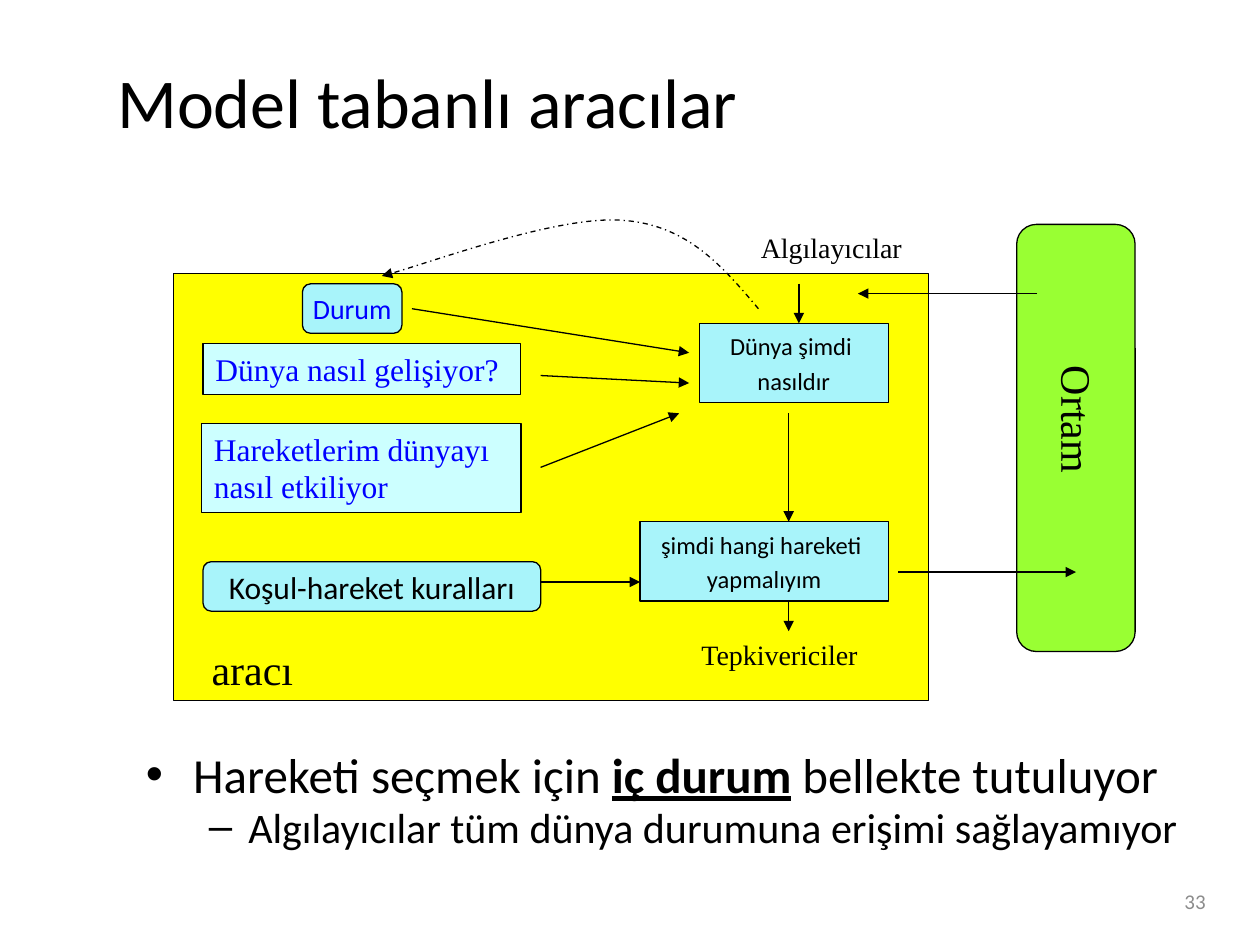
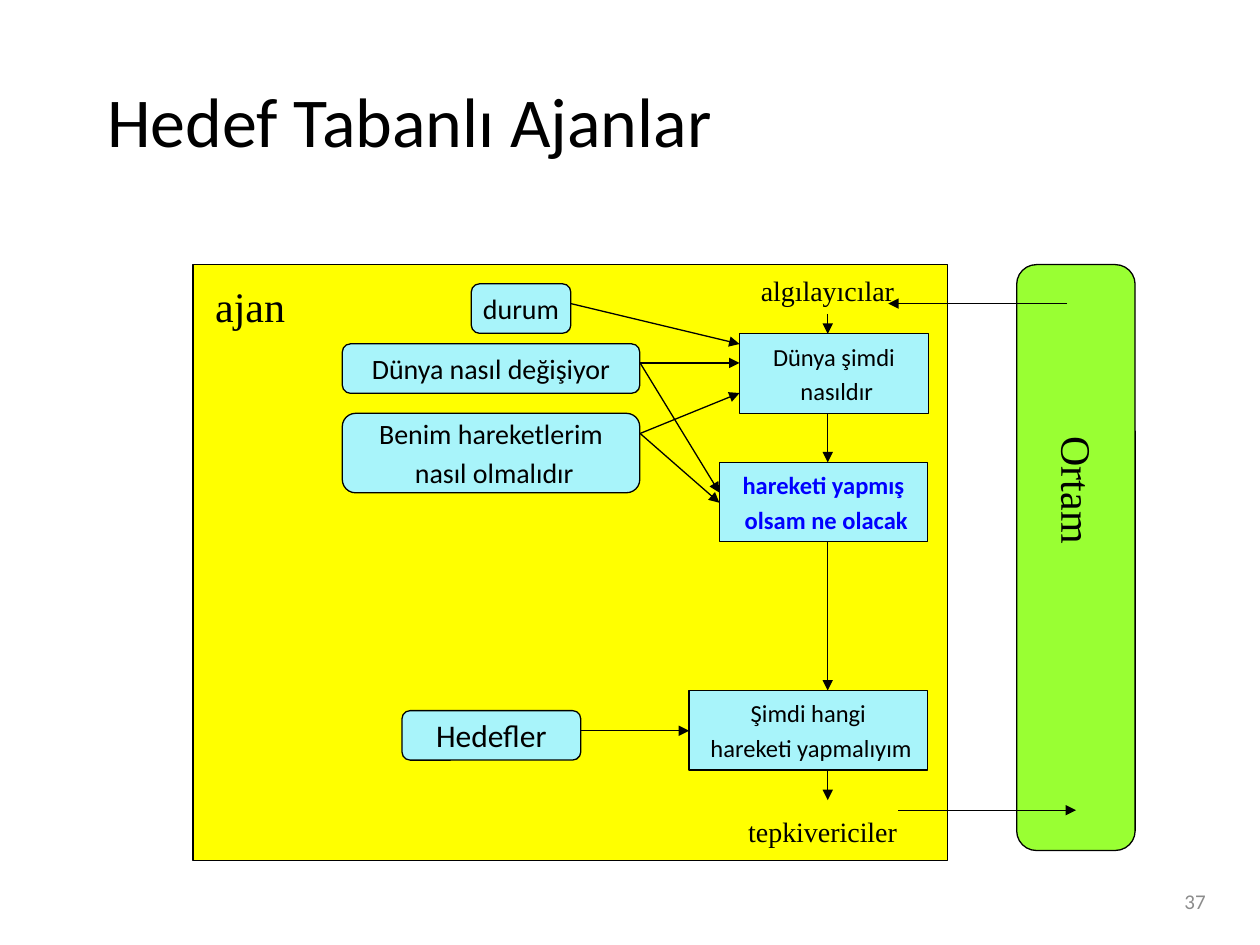
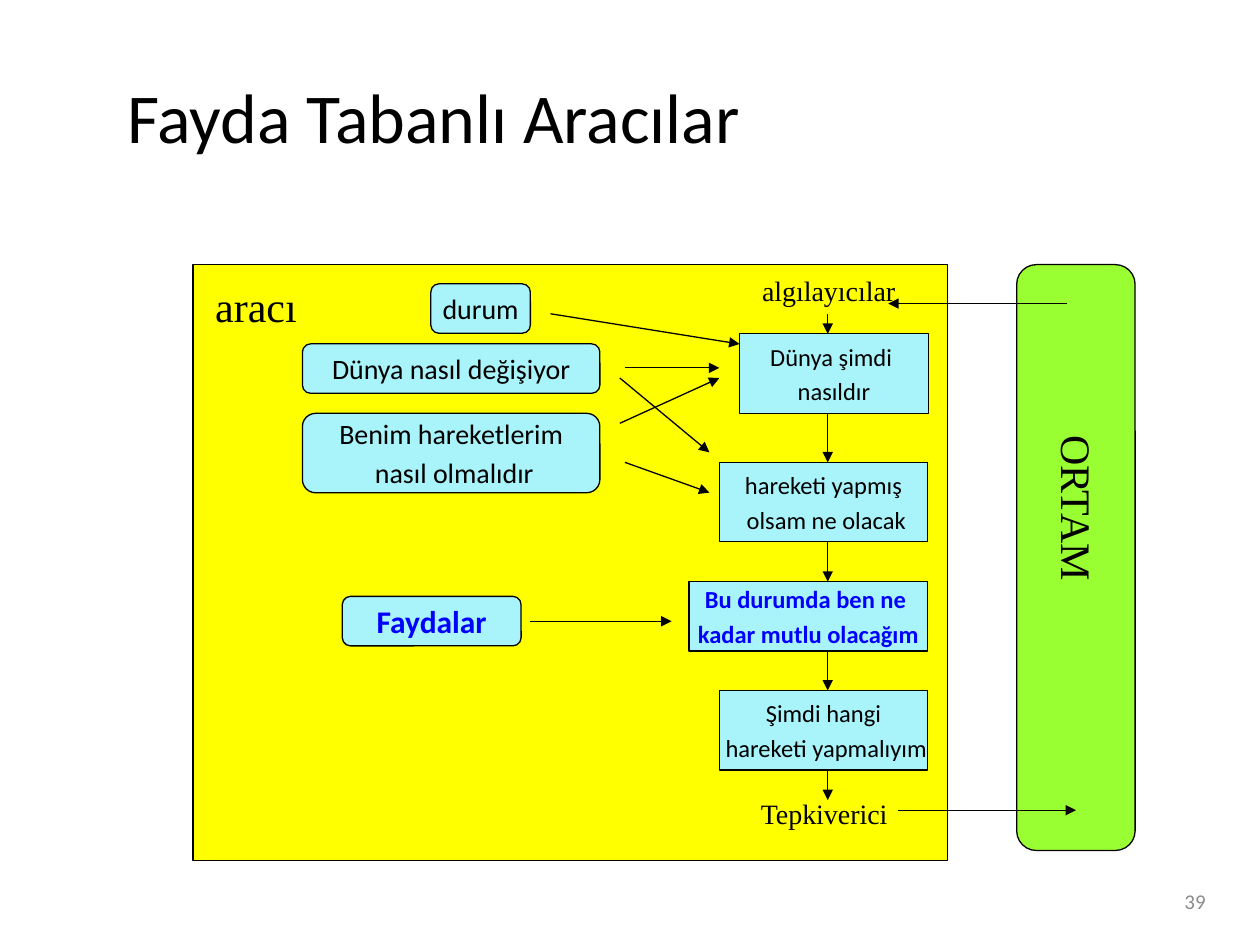
"""Builds three slides with diagrams of model, goal and utility based agents."""
from dataclasses import dataclass
from typing import NamedTuple

import lxml.etree
import pptx
import pptx.dml.color
import pptx.enum.dml
import pptx.enum.shapes
import pptx.enum.text
import pptx.oxml.ns
import pptx.util

Pt = pptx.util.Pt
RGBColor = pptx.dml.color.RGBColor
qn = pptx.oxml.ns.qn
SHAPES = pptx.enum.shapes.MSO_SHAPE
ALIGN = pptx.enum.text.PP_ALIGN
ANCHOR = pptx.enum.text.MSO_ANCHOR
AUTO_SIZE = pptx.enum.text.MSO_AUTO_SIZE

BLACK = RGBColor(0x00, 0x00, 0x00)
BLUE = RGBColor(0x00, 0x00, 0xFF)
GRAY = RGBColor(0x8C, 0x8C, 0x8C)
YELLOW = RGBColor(0xFF, 0xFF, 0x00)
GREEN = RGBColor(0x99, 0xFF, 0x33)
CYAN = RGBColor(0xA8, 0xF4, 0xFA)
PALE_CYAN = RGBColor(0xCC, 0xFF, 0xFF)

SANS = "Calibri"
SERIF = "Times New Roman"
LINE_WIDTH = 0.75
LOW, HIGH = 28.3, 45.4  # heights of one-line and two-line nodes
SPINE = 473  # x of the vertical chain on the goal and utility slides


class Box(NamedTuple):
    """A rectangle in points."""
    left: float
    top: float
    width: float
    height: float


class Arrow(NamedTuple):
    """A straight arrow from one point to another."""
    x1: float
    y1: float
    x2: float
    y2: float


@dataclass(frozen=True)
class Node:
    """A filled box of the diagram; each line is a paragraph."""
    box: Box
    lines: tuple[str, ...]
    size: float = 14
    rounded: bool = False
    color: RGBColor = BLACK
    bold: bool = False


@dataclass(frozen=True)
class Question:
    """A pale box whose serif text wraps from the top left."""
    box: Box
    text: str


@dataclass(frozen=True)
class Label:
    """Free serif text on the diagram."""
    box: Box
    text: str
    size: float = 16
    rotation: float = 0
    wrap: bool = False


@dataclass(frozen=True)
class AgentSlide:
    """All the content of one agent diagram."""
    title: str
    title_box: Box
    number: str
    agent: Box
    environment: Box
    labels: tuple[Label, ...]
    nodes: tuple[Node, ...]
    arrows: tuple[Arrow, ...]
    questions: tuple[Question, ...] = ()


def points(values):
    """Turn numbers into point lengths."""
    return [Pt(value) for value in values]


def write(paragraph, text: str, *, size: float, font: str = SANS,
          color: RGBColor = BLACK, bold: bool = False, underline: bool = False,
          align=ALIGN.LEFT, space: float = 0.2) -> None:
    """Add a run; space is the gap before, as a share of the size."""
    paragraph.alignment = align
    paragraph.space_before = Pt(round(size * space, 1))
    run = paragraph.add_run()
    run.text = text
    run.font.size = Pt(size)
    run.font.name = font
    run.font.color.rgb = color
    run.font.bold = bold
    run.font.underline = underline


def add_box(slide, box: Box, fill: RGBColor, rounded: bool = False):
    """Draw an outlined rectangle, plain or rounded."""
    kind = SHAPES.ROUNDED_RECTANGLE if rounded else SHAPES.RECTANGLE
    shape = slide.shapes.add_shape(kind, *points(box))
    shape.shadow.inherit = False
    shape.fill.solid()
    shape.fill.fore_color.rgb = fill
    shape.line.color.rgb = BLACK
    shape.line.width = Pt(LINE_WIDTH)
    return shape


def add_node(slide, node: Node) -> None:
    """Draw a node with its centred lines."""
    frame = add_box(slide, node.box, CYAN, node.rounded).text_frame
    frame.word_wrap = False
    frame.vertical_anchor = ANCHOR.MIDDLE
    for index, line in enumerate(node.lines):
        paragraph = frame.add_paragraph() if index else frame.paragraphs[0]
        write(paragraph, line, size=node.size, color=node.color,
              bold=node.bold, align=ALIGN.CENTER)


def add_question(slide, question: Question) -> None:
    """Draw a question box that grows with its text."""
    frame = add_box(slide, question.box, PALE_CYAN).text_frame
    frame.word_wrap = True
    frame.auto_size = AUTO_SIZE.SHAPE_TO_FIT_TEXT
    frame.vertical_anchor = ANCHOR.TOP
    write(frame.paragraphs[0], question.text, size=18, font=SERIF,
          color=BLUE, space=0.5)


def add_label(slide, label: Label) -> None:
    """Draw a free label."""
    shape = slide.shapes.add_textbox(*points(label.box))
    shape.rotation = label.rotation
    shape.text_frame.word_wrap = label.wrap
    shape.text_frame.auto_size = AUTO_SIZE.SHAPE_TO_FIT_TEXT
    write(shape.text_frame.paragraphs[0], label.text, size=label.size, font=SERIF)


def style_arrow(shape) -> None:
    """Give a line its colour, width and closing arrowhead."""
    shape.line.color.rgb = BLACK
    shape.line.width = Pt(LINE_WIDTH)
    outline = shape.element.spPr.find(qn("a:ln"))
    lxml.etree.SubElement(outline, qn("a:tailEnd"), type="triangle")


def add_arrow(slide, arrow: Arrow) -> None:
    """Draw a straight arrow."""
    connector = slide.shapes.add_connector(
        pptx.enum.shapes.MSO_CONNECTOR.STRAIGHT, *points(arrow))
    style_arrow(connector)
    lxml.etree.SubElement(connector.element.spPr, qn("a:effectLst"))


def add_curve(slide, start: tuple[float, float],
              controls: list[tuple[float, float]]) -> None:
    """Draw a dashed Bezier arrow; every three points make one segment."""
    builder = slide.shapes.build_freeform(*points(start))
    builder.add_line_segments([points(point) for point in controls], close=False)
    shape = builder.convert_to_shape()
    shape.shadow.inherit = False
    shape.fill.background()
    shape.line.dash_style = pptx.enum.dml.MSO_LINE.DASH_DOT
    style_arrow(shape)
    steps = list(shape.element.spPr.iter(qn("a:lnTo")))
    for index in range(0, len(steps), 3):
        curve = lxml.etree.Element(qn("a:cubicBezTo"))
        steps[index].addprevious(curve)
        for step in steps[index:index + 3]:
            curve.append(step[0])
            step.getparent().remove(step)


def set_bullet(paragraph, symbol: str, margin: float, hanging: float) -> None:
    """Give a paragraph a bullet with a hanging indent."""
    properties = paragraph._p.get_or_add_pPr()
    properties.set("marL", str(Pt(margin)))
    properties.set("indent", str(-Pt(hanging)))
    lxml.etree.SubElement(properties, qn("a:buFont"), typeface="Arial")
    lxml.etree.SubElement(properties, qn("a:buChar"), char=symbol)


def add_summary(slide) -> None:
    """Write the two bullets below the model based diagram."""
    shape = slide.shapes.add_textbox(*points(Box(76.3, 428.4, 606.2, 85)))
    frame = shape.text_frame
    frame.word_wrap = True
    first, second = frame.paragraphs[0], frame.add_paragraph()
    write(first, "Hareketi seçmek için ", size=28)
    write(first, "iç durum", size=28, bold=True, underline=True)
    write(first, " bellekte tutuluyor", size=28)
    write(second, "Algılayıcılar tüm dünya durumuna erişimi sağlayamıyor", size=24)
    second.level = 1
    for paragraph in (first, second):
        paragraph.line_spacing = 0.8
    set_bullet(first, "•", 27, 27)
    set_bullet(second, "–", 58.5, 22.5)


def add_agent_slide(presentation, content: AgentSlide):
    """Build one slide: title, panels, labels, nodes, arrows and number."""
    slide = presentation.slides.add_slide(presentation.slide_layouts[5])
    title = slide.shapes.title
    title.left, title.top, title.width, title.height = points(content.title_box)
    title.text_frame.auto_size = AUTO_SIZE.NONE
    title.text_frame.vertical_anchor = ANCHOR.MIDDLE
    write(title.text_frame.paragraphs[0], content.title, size=40, space=0)

    add_box(slide, content.agent, YELLOW)
    add_box(slide, content.environment, GREEN, rounded=True)
    for label in content.labels:
        add_label(slide, label)
    for node in content.nodes:
        add_node(slide, node)
    for question in content.questions:
        add_question(slide, question)
    for arrow in content.arrows:
        add_arrow(slide, arrow)

    number = slide.shapes.add_textbox(*points(Box(528, 500.5, 168, 28.8)))
    number.text_frame.word_wrap = True
    number.text_frame.vertical_anchor = ANCHOR.MIDDLE
    write(number.text_frame.paragraphs[0], content.number, size=12, color=GRAY,
          align=ALIGN.RIGHT, space=0)
    return slide


def down(x: float, top: float, bottom: float) -> Arrow:
    """Return an arrow that points straight down."""
    return Arrow(x, top, x, bottom)


def knowledge_nodes(left: float, state_left: float) -> tuple[Node, ...]:
    """Return the state node and the two world knowledge nodes."""
    return (
        Node(Box(state_left, 162.2, 56.9, LOW), ("durum",), 16, True),
        Node(Box(left, 196.5, 170, LOW), ("Dünya nasıl değişiyor",), 16, True),
        Node(Box(left, 236.2, 170, HIGH),
             ("Benim hareketlerim", " nasıl olmalıdır"), 16, True),
    )


WORLD_BOX = Box(422.6, 190.8, 108, HIGH)
PREDICTION_BOX = Box(411.1, 264.2, 119, HIGH)
PREDICTION = ("hareketi yapmış", " olsam ne olacak")
ACTION = ("Şimdi hangi", " hareketi yapmalıyım")
TALL_AGENT = Box(110.2, 151.2, 431.3, 340.6)
TALL_ENVIRONMENT = Box(581, 151.2, 67.7, 334.8)
LOOP_ARROWS = (
    Arrow(609.8, 173.5, 507.6, 173.5),
    down(SPINE, 179.3, 190.8),
    down(SPINE, 236.2, 264.2),
    down(SPINE, 439.9, 457.2),
    Arrow(513.4, 463, 614.9, 463),
)

MODEL_BASED = AgentSlide(
    title="Model tabanlı aracılar",
    title_box=Box(59.8, 15.1, 612, 85),
    number="33",
    agent=Box(99.2, 156.2, 431.3, 244.1),
    environment=Box(581, 128.2, 67.7, 244.1),
    labels=(
        Label(Box(578.2, 221.8, 75.6, 36), "Ortam", 24, 90),
        Label(Box(113.8, 364.3, 61.2, 36), "aracı", 24, wrap=True),
        Label(Box(427.7, 128.2, 107.3, 26.6), "Algılayıcılar", wrap=True),
        Label(Box(393.8, 360.7, 113, 26.6), "Tepkivericiler", wrap=True),
    ),
    nodes=(
        Node(Box(172.8, 162.2, 56.9, LOW), ("Durum",), 16, True, BLUE),
        Node(Box(399.6, 184.8, 108, HIGH), ("Dünya şimdi ", "nasıldır")),
        Node(Box(365.8, 298.1, 141.8, HIGH),
             ("şimdi hangi hareketi ", "yapmalıyım")),
        Node(Box(116, 321, 193, LOW), ("Koşul-hareket kuralları",), 18, True),
    ),
    questions=(
        Question(Box(116, 196.5, 181.4, 28.8), "Dünya nasıl gelişiyor?"),
        Question(Box(115.2, 241.9, 182.5, 51.1),
                 "Hareketlerim dünyayı nasıl etkiliyor"),
    ),
    arrows=(
        down(450.7, 236.2, 298.1),
        down(456.5, 162, 184.8),
        down(450.7, 343.5, 360.7),
        Arrow(308.9, 332.6, 365.8, 332.6),
        Arrow(592.6, 167.8, 490.3, 167.8),
        Arrow(513.4, 326.9, 614.9, 326.9),
        Arrow(235.4, 176.4, 393.8, 201.6),
        Arrow(308.9, 214.6, 393.8, 218.9),
        Arrow(308.9, 267.1, 388.1, 236.2),
    ),
)

GOAL_BASED = AgentSlide(
    title="Hedef Tabanlı Ajanlar",
    title_box=Box(54, 25.9, 612, 85),
    number="37",
    agent=TALL_AGENT,
    environment=TALL_ENVIRONMENT,
    labels=(
        Label(Box(578.2, 262.1, 75.6, 36), "Ortam", 24, 90),
        Label(Box(115.9, 157, 54.7, 36), "ajan", 24),
        Label(Box(427.7, 152.6, 91.4, 26.6), "algılayıcılar"),
        Label(Box(420.5, 462.2, 108, 26.6), "tepkivericiler", wrap=True),
    ),
    nodes=knowledge_nodes(195.6, 269.3) + (
        Node(WORLD_BOX, ("Dünya şimdi", " nasıldır")),
        Node(PREDICTION_BOX, PREDICTION, color=BLUE, bold=True),
        Node(Box(393.8, 394.6, 136.3, HIGH), ACTION),
        Node(Box(229.7, 406.1, 102.2, LOW), ("Hedefler",), 18, True),
    ),
    arrows=LOOP_ARROWS + (
        down(SPINE, 309.6, 394.6),
        Arrow(331.9, 417.6, 393.8, 417.6),
        Arrow(326.2, 173.5, 422.6, 196.6),
        Arrow(365.8, 207.4, 422.6, 207.4),
        Arrow(365.8, 247.7, 422.6, 224.6),
        Arrow(365.8, 207.4, 411.1, 281.5),
        Arrow(365.8, 247.7, 411.1, 287.3),
    ),
)

UTILITY_BASED = AgentSlide(
    title="Fayda Tabanlı Aracılar",
    title_box=Box(65.5, 20.9, 654.5, 90.7),
    number="39",
    agent=TALL_AGENT,
    environment=TALL_ENVIRONMENT,
    labels=(
        Label(Box(565.2, 274.3, 101.5, 36), "ORTAM", 24, 90),
        Label(Box(115.9, 157, 61.2, 36), "aracı", 24),
        Label(Box(428.4, 152.6, 91.4, 26.6), "algılayıcılar"),
        Label(Box(427.7, 451.4, 88.6, 26.6), "Tepkiverici"),
    ),
    nodes=knowledge_nodes(172.8, 246.2) + (
        Node(WORLD_BOX, ("Dünya şimdi ", "nasıldır")),
        Node(PREDICTION_BOX, PREDICTION),
        Node(Box(393.8, 332.4, 136.3, 39.6),
             ("Bu durumda ben ne ", "kadar mutlu olacağım"), color=BLUE, bold=True),
        Node(Box(411.1, 394.6, 119, HIGH), ACTION),
        Node(Box(195.6, 340.8, 102.2, LOW), ("Faydalar",), 18, True, BLUE, True),
    ),
    arrows=LOOP_ARROWS + (
        down(SPINE, 309.6, 332.4),
        down(SPINE, 372, 394.6),
        Arrow(303.1, 355, 383.8, 355),
        Arrow(314.6, 179.3, 422.6, 196.6),
        Arrow(357.1, 210.2, 411.1, 210.2),
        Arrow(354.2, 216, 405.4, 258.5),
        Arrow(354.2, 241.9, 411.1, 216),
        Arrow(357.1, 264.2, 405.4, 281.5),
    ),
)


def main() -> None:
    """Build and save the presentation."""
    presentation = pptx.Presentation()
    presentation.slide_width, presentation.slide_height = Pt(720), Pt(540)
    model_slide = add_agent_slide(presentation, MODEL_BASED)
    add_curve(model_slide, (433.4, 176.4),
              [(413.3, 152.6), (393.1, 128.9), (357.1, 126),
               (321.1, 122.4), (241.2, 151.9), (218.2, 157.7)])
    add_summary(model_slide)
    add_agent_slide(presentation, GOAL_BASED)
    add_agent_slide(presentation, UTILITY_BASED)
    presentation.save("out.pptx")


main()
